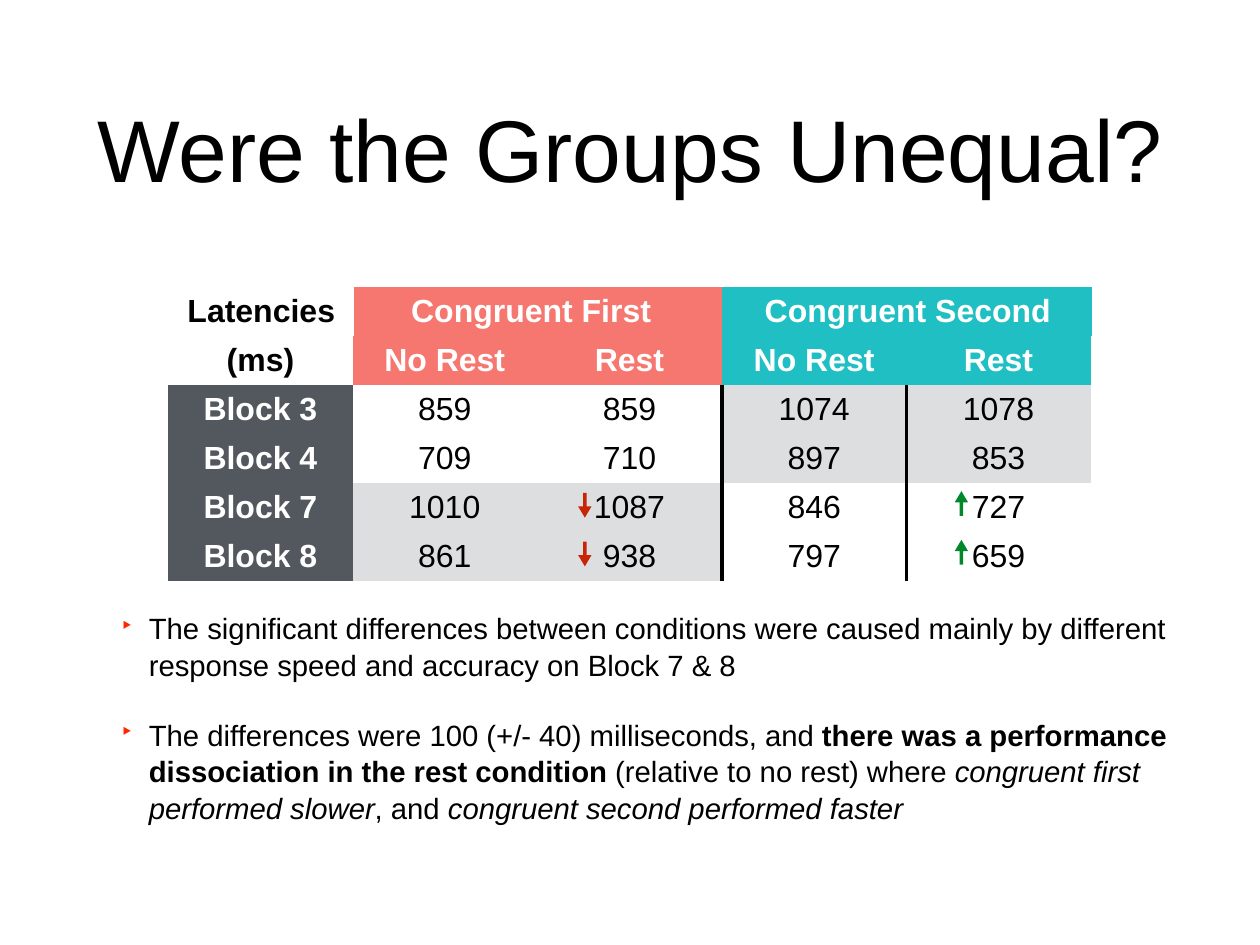
from lxml import etree
from pptx import Presentation
from pptx.dml.color import RGBColor
from pptx.enum.shapes import MSO_SHAPE
from pptx.enum.text import MSO_ANCHOR, PP_ALIGN
from pptx.oxml.ns import qn
from pptx.util import Inches, Pt

RIGHT_ARROW = MSO_SHAPE.RIGHT_ARROW
MIDDLE, TOP = MSO_ANCHOR.MIDDLE, MSO_ANCHOR.TOP
CENTER, LEFT = PP_ALIGN.CENTER, PP_ALIGN.LEFT
UP, DOWN = 270, 90

BLACK = RGBColor(0x00, 0x00, 0x00)
WHITE = RGBColor(0xFF, 0xFF, 0xFF)
CORAL = RGBColor(0xF6, 0x77, 0x70)
TEAL = RGBColor(0x1F, 0xBF, 0xC3)
SLATE = RGBColor(0x53, 0x58, 0x5F)
GREY = RGBColor(0xDC, 0xDE, 0xE0)
RED = RGBColor(0xC8, 0x25, 0x06)
GREEN = RGBColor(0x00, 0x88, 0x2B)
BULLET_RED = RGBColor(0xFF, 0x26, 0x00)

FONT = "Arial"
NO_GRID_STYLE = "{2D5ABB26-0587-4C30-8999-92F81FD0307C}"
TABLE_LEFT, TABLE_WIDTH = 1.9, 10.42

GROUPS = ["Latencies", "Congruent First", "Congruent Second"]
GROUP_FILLS = [WHITE, CORAL, TEAL]
GROUP_INDENTS = [None, 0.64, 0.48]
CONDITIONS = ["(ms)", "No Rest", "Rest", "No Rest", "Rest"]
CONDITION_FILLS = [WHITE, CORAL, CORAL, TEAL, TEAL]
LATENCIES = [
    ["Block 3", "859", "859", "1074", "1078"],
    ["Block 4", "709", "710", "897", "853"],
    ["Block 7", "1010", "1087", "846", "727"],
    ["Block 8", "861", "938", "797", "659"],
]
EARLY_FILLS = [SLATE, WHITE, WHITE, GREY, GREY]
LATE_FILLS = [SLATE, GREY, GREY, WHITE, WHITE]
BODY_FILLS = [EARLY_FILLS, EARLY_FILLS, LATE_FILLS, LATE_FILLS]
BORDERS = {2: ["R"], 3: ["L", "R"], 4: ["L"]}

FINDINGS = [
    [("The significant differences between conditions were caused mainly by "
      "different response speed and accuracy on Block 7 & 8", {})],
    [("The differences were 100 (+/- 40) milliseconds, and ", {}),
     ("there was a performance dissociation in the rest condition", {"bold": True}),
     (" (relative to no rest) where ", {}),
     ("congruent first performed slower", {"italic": True}),
     (", and ", {}),
     ("congruent second performed faster", {"italic": True})],
]
ARROWS = [(10.71, 5.61, UP, GREEN), (10.71, 6.16, UP, GREEN),
          (6.46, 5.63, DOWN, RED), (6.46, 6.18, DOWN, RED)]


def set_attrs(obj, values):
    """Set each named attribute of an object."""
    for name, value in values.items():
        setattr(obj, name, value)


def add_run(p, text, size, color, **style):
    """Add a formatted run to a paragraph."""
    r = p.add_run()
    r.text = text
    set_attrs(r.font, {"name": FONT, "size": Pt(size), **style})
    r.font.color.rgb = color


def add_text_frame(s, left, top, width, height, anchor):
    """Add a wrapping text box without insets and return its frame."""
    box = s.shapes.add_textbox(*map(Inches, (left, top, width, height)))
    tf = box.text_frame
    set_attrs(tf, {"word_wrap": True, "vertical_anchor": anchor,
                   "margin_left": 0, "margin_right": 0,
                   "margin_top": 0, "margin_bottom": 0})
    return tf


def add_title(s, text):
    """Add the centred slide title."""
    p = add_text_frame(s, 1.04, 0.49, 12.14, 2.36, MIDDLE).paragraphs[0]
    p.alignment = CENTER
    add_run(p, text, 71.2, BLACK)


def add_bullet(p):
    """Give a paragraph a hanging red bullet."""
    pPr = p._p.get_or_add_pPr()
    pPr.set("marL", str(Inches(0.64)))
    pPr.set("indent", str(-Inches(0.32)))
    color = etree.SubElement(pPr, qn("a:buClr"))
    etree.SubElement(color, qn("a:srgbClr"), val=str(BULLET_RED))
    etree.SubElement(pPr, qn("a:buSzPct"), val="75000")
    etree.SubElement(pPr, qn("a:buChar"), char="‣")


def add_findings(s, findings):
    """Add the bulleted findings."""
    tf = add_text_frame(s, 1.04, 6.88, 12.14, 2.86, TOP)
    for i, runs in enumerate(findings):
        p = tf.add_paragraph() if i else tf.paragraphs[0]
        set_attrs(p, {"space_before": Pt(27), "line_spacing": 1.04})
        add_bullet(p)
        for text, style in runs:
            add_run(p, text, 23.8, BLACK, **style)


def add_table(s, top, widths, heights):
    """Add a table without grid or banding."""
    size = (TABLE_LEFT, top, TABLE_WIDTH, sum(heights))
    frame = s.shapes.add_table(len(heights), len(widths), *map(Inches, size))
    table = frame.table
    set_attrs(table, {"first_row": False, "horz_banding": False})
    table._tbl.tblPr.find(qn("a:tableStyleId")).text = NO_GRID_STYLE
    for column, width in zip(table.columns, widths):
        column.width = Inches(width)
    for row, height in zip(table.rows, heights):
        row.height = Inches(height)
    return table


def fill_cell(cell, text, fill, color, bold, indent=None):
    """Fill a cell with text, centred unless it is indented."""
    set_attrs(cell, {"vertical_anchor": MIDDLE,
                     "margin_left": Inches(indent or 0.06),
                     "margin_right": Inches(0.06),
                     "margin_top": Inches(0.06),
                     "margin_bottom": Inches(0.06)})
    cell.fill.solid()
    cell.fill.fore_color.rgb = fill
    p = cell.text_frame.paragraphs[0]
    p.alignment = LEFT if indent else CENTER
    add_run(p, text, 26, color, bold=bold)


def add_borders(cell, sides):
    """Draw black rules on the given sides of a cell."""
    tcPr = cell._tc.get_or_add_tcPr()
    for i, side in enumerate(sides):
        ln = etree.Element(qn(f"a:ln{side}"), w=str(Pt(3)))
        fill = etree.SubElement(ln, qn("a:solidFill"))
        etree.SubElement(fill, qn("a:srgbClr"), val=str(BLACK))
        tcPr.insert(i, ln)


def add_group_header(s):
    """Add the one-row table that names the groups."""
    table = add_table(s, 3.24, [2.1, 4.15, 4.17], [0.55])
    for col, (text, fill, indent) in enumerate(zip(GROUPS, GROUP_FILLS, GROUP_INDENTS)):
        color = WHITE if col else BLACK
        fill_cell(table.cell(0, col), text, fill, color, True, indent)


def add_latency_table(s):
    """Add the latencies of each block and condition."""
    table = add_table(s, 3.79, [2.08, 2.08, 2.09, 2.08, 2.08], [0.56] + [0.54] * 4)
    for col, (text, fill) in enumerate(zip(CONDITIONS, CONDITION_FILLS)):
        fill_cell(table.cell(0, col), text, fill, WHITE if col else BLACK, True)
    for row, (texts, fills) in enumerate(zip(LATENCIES, BODY_FILLS), 1):
        for col, (text, fill) in enumerate(zip(texts, fills)):
            cell = table.cell(row, col)
            fill_cell(cell, text, fill, BLACK if col else WHITE, col == 0)
            add_borders(cell, BORDERS.get(col, []))


def add_arrow(s, left, top, rotation, color):
    """Add a small turned block arrow."""
    sp = s.shapes.add_shape(RIGHT_ARROW, *map(Inches, (left, top, 0.28, 0.15)))
    sp.rotation = rotation
    sp.adjustments[0] = 0.26
    sp.adjustments[1] = 0.84
    sp.shadow.inherit = False
    sp.fill.solid()
    sp.fill.fore_color.rgb = color
    sp.line.fill.background()


def main():
    """Build the slide and save it."""
    prs = Presentation()
    set_attrs(prs, {"slide_width": Inches(14.22), "slide_height": Inches(10.67)})
    s = prs.slides.add_slide(prs.slide_layouts[6])
    add_title(s, "Were the Groups Unequal?")
    add_findings(s, FINDINGS)
    add_latency_table(s)
    for arrow in ARROWS:
        add_arrow(s, *arrow)
    add_group_header(s)
    prs.save("out.pptx")


if __name__ == "__main__":
    main()
